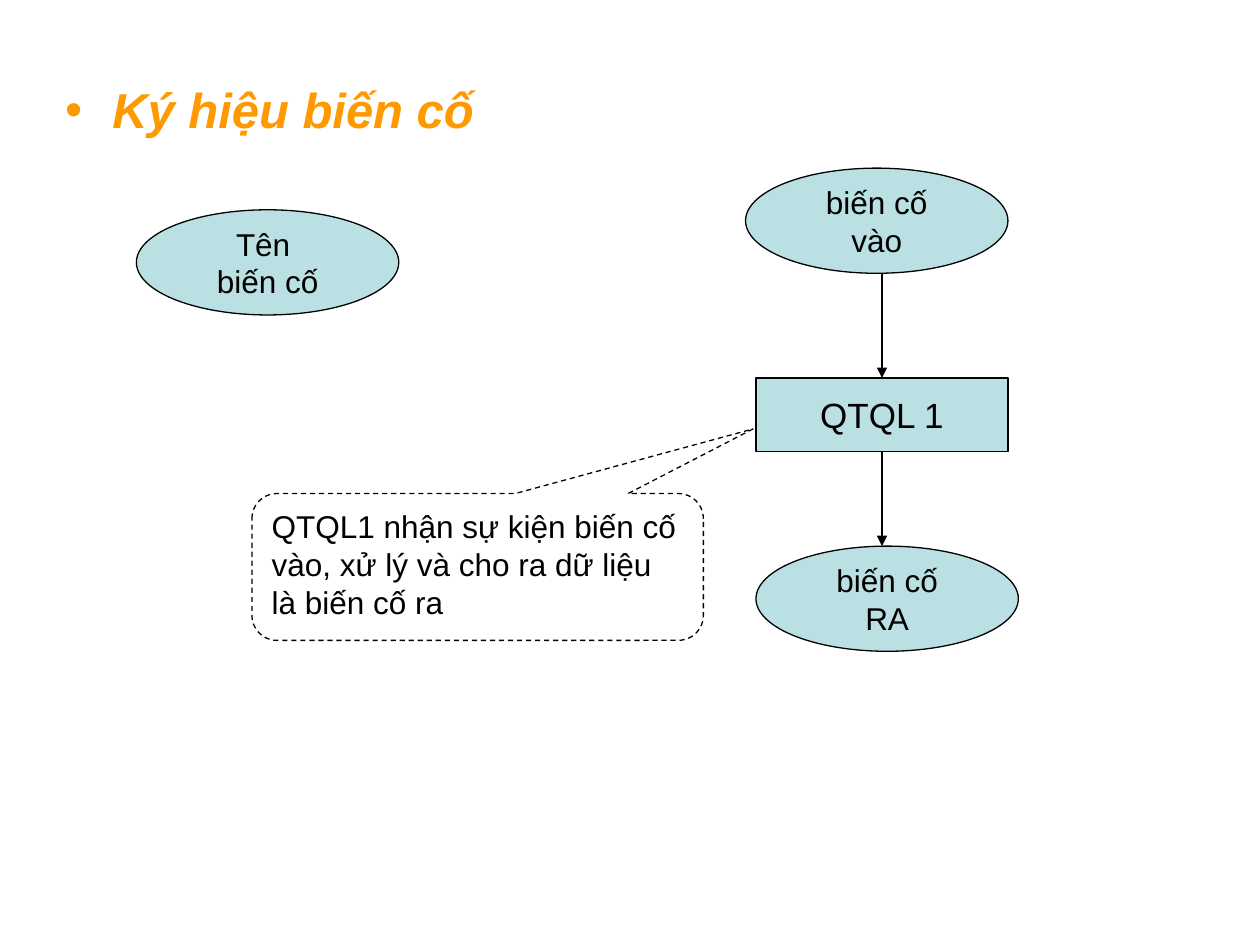
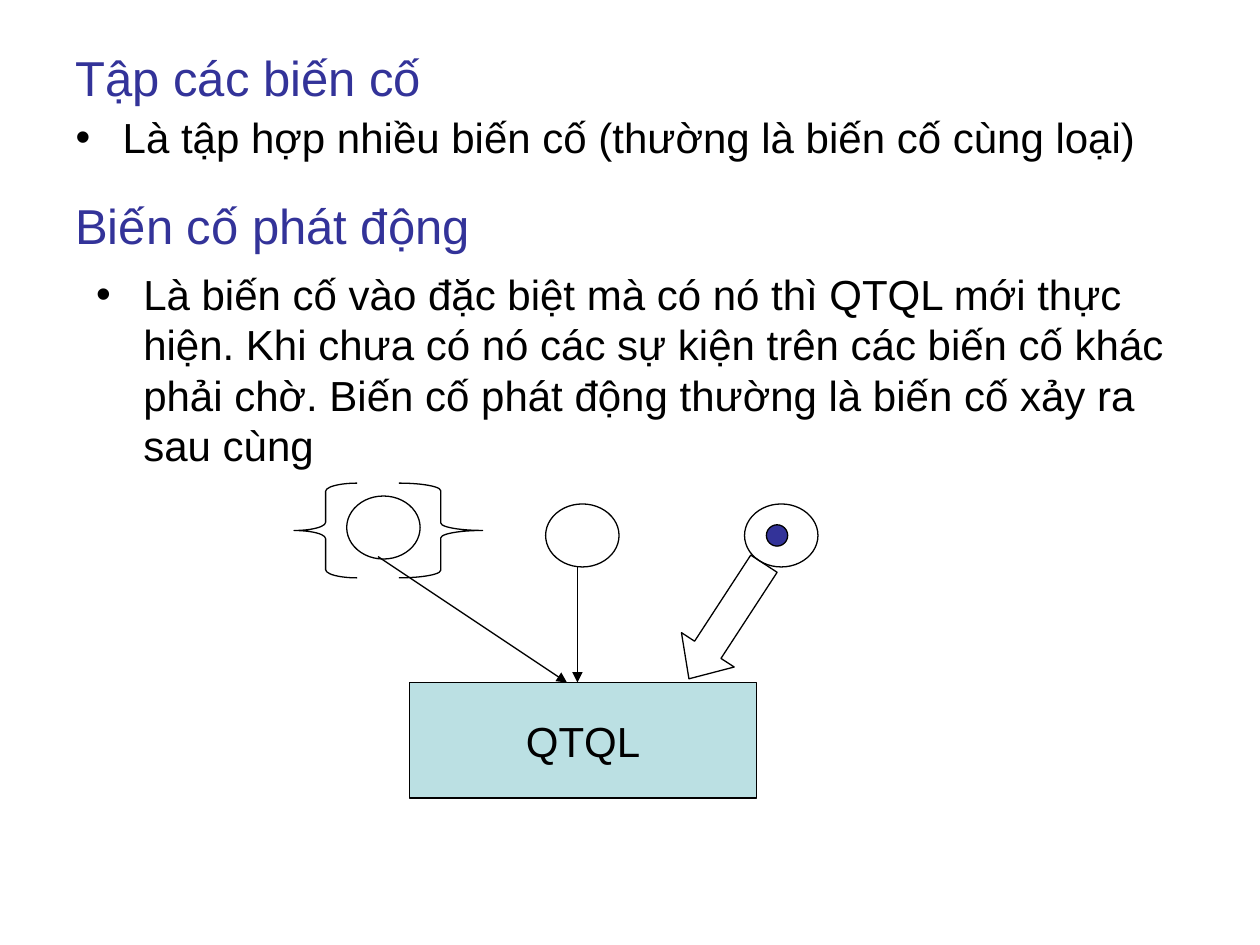
from lxml import etree
from pptx import Presentation
from pptx import util as u
from pptx.dml.color import RGBColor
from pptx.enum import dml, shapes, text
from pptx.oxml import ns

COLOURS = {"ink": "000000", "event": "BBE0E3", "heading": "333399", "accent": "FF9900"}
FONT = "Arial"
HANG = u.Cm(0.95)
EVENT_SIZE = (5.29, 2.12)
MARK_SIZE = (1.48, 1.27)
BLOCK_WIDTH = 22.86
SHAPE = shapes.MSO_SHAPE
HEADING = {"size": u.Pt(28)}
BULLET = {"size": u.Pt(24)}


def rgb(colour):
    return RGBColor.from_string(COLOURS[colour])


def cm(*lengths):
    return [u.Cm(length) for length in lengths]


def apply(target, values):
    for name, value in values.items():
        setattr(target, name, value)


def place(placeholder, box):
    apply(placeholder, dict(zip(("left", "top", "width", "height"), cm(*box))))
    return placeholder


def write(holder, lines, font, colour="ink", paragraph=None, frame=None):
    text_frame = holder.text_frame
    apply(text_frame, {"word_wrap": True, "auto_size": text.MSO_AUTO_SIZE.NONE, **(frame or {})})
    text_frame.text = "\n".join(lines)
    for line in text_frame.paragraphs:
        apply(line, {"alignment": text.PP_ALIGN.LEFT, **(paragraph or {})})
        for run in line.runs:
            apply(run.font, {"name": FONT, **font})
            run.font.color.rgb = rgb(colour)


def write_bullet(holder, line, font, colour="ink", before=6):
    write(holder, [line], font, colour, {"space_before": u.Pt(before)})
    properties = holder.text_frame.paragraphs[0]._p.get_or_add_pPr()
    properties.set("marL", str(HANG))
    properties.set("indent", str(-HANG))
    etree.SubElement(properties, ns.qn("a:buFont"), typeface=FONT)
    etree.SubElement(properties, ns.qn("a:buChar"), char="•")


def add_figure(slide, kind, box, fill=None, adjustments=()):
    figure = slide.shapes.add_shape(kind, *cm(*box))
    figure.shadow.inherit = False
    if fill:
        figure.fill.solid()
        figure.fill.fore_color.rgb = rgb(fill)
    else:
        figure.fill.background()
    figure.line.color.rgb = rgb("ink")
    figure.line.width = u.Pt(0.75)
    for index, value in enumerate(adjustments):
        figure.adjustments[index] = value
    return figure


def add_label(slide, kind, box, lines, size):
    figure = add_figure(slide, kind, box, "event")
    write(figure, lines, {"size": u.Pt(size)},
          paragraph={"alignment": text.PP_ALIGN.CENTER},
          frame={"word_wrap": False, "vertical_anchor": text.MSO_ANCHOR.MIDDLE})


def add_event(slide, left, top, lines):
    add_label(slide, SHAPE.OVAL, (left, top, *EVENT_SIZE), lines, 18)


def add_arrow(slide, start, end):
    arrow = slide.shapes.add_connector(shapes.MSO_CONNECTOR.STRAIGHT, *cm(*start, *end))
    arrow.line.color.rgb = rgb("ink")
    arrow.line.width = u.Pt(0.75)
    etree.SubElement(arrow.line._get_or_add_ln(), ns.qn("a:tailEnd"), type="triangle")
    etree.SubElement(arrow._element.spPr, ns.qn("a:effectLst"))


def add_text_block(slide, box):
    return slide.shapes.add_textbox(*cm(*box))


def build_event_symbols(slide):
    title = slide.shapes.title
    title._element.getparent().remove(title._element)
    heading = place(slide.placeholders[1], (1.06, 1.48, BLOCK_WIDTH, 1.48))
    write_bullet(heading, "Ký hiệu biến cố", {**HEADING, "bold": True, "italic": True},
                 "accent", 7)

    add_event(slide, 2.75, 4.23, ["Tên ", "biến cố"])
    add_event(slide, 15.03, 3.39, ["biến cố", "vào"])
    add_event(slide, 15.24, 11.01, ["biến cố", "RA"])
    add_label(slide, SHAPE.RECTANGLE, (15.24, 7.62, 5.08, 1.48), ["QTQL 1"], 20)
    for top, bottom in ((5.5, 7.62), (9.1, 11.01)):
        add_arrow(slide, (17.78, top), (17.78, bottom))

    explanation = add_figure(slide, SHAPE.ROUNDED_RECTANGULAR_CALLOUT,
                             (5.08, 9.95, 9.1, 2.96), adjustments=(0.61, -0.94, 0.17))
    explanation.line.dash_style = dml.MSO_LINE.DASH
    write(explanation,
          ["QTQL1 nhận sự kiện biến cố vào, xử lý và cho ra dữ liệu là biến cố ra"],
          {"size": u.Pt(18)}, frame={"vertical_anchor": text.MSO_ANCHOR.TOP})


def build_trigger_events(slide):
    event_set = place(slide.shapes.title, (1.27, 0.76, BLOCK_WIDTH, 1.57))
    write(event_set, ["Tập các biến cố"], HEADING, "heading",
          frame={"vertical_anchor": text.MSO_ANCHOR.MIDDLE})
    set_meaning = place(slide.placeholders[1], (1.27, 2.12, BLOCK_WIDTH, 1.27))
    write_bullet(set_meaning, "Là tập hợp nhiều biến cố (thường là biến cố cùng loại)", BULLET)

    trigger = add_text_block(slide, (1.27, 3.81, BLOCK_WIDTH, 1.27))
    write(trigger, ["Biến cố phát động"], HEADING, "heading", {"space_before": u.Pt(7)})
    trigger_meaning = add_text_block(slide, (1.69, 5.29, BLOCK_WIDTH, 4.45))
    write_bullet(trigger_meaning,
                 "Là biến cố vào đặc biệt mà có nó thì QTQL mới thực hiện. "
                 "Khi chưa có nó các sự kiện trên các biến cố khác phải chờ. "
                 "Biến cố phát động thường là biến cố xảy ra sau cùng", BULLET)

    for column, top in enumerate((10, 10.16, 10.16)):
        add_figure(slide, SHAPE.OVAL, (6.99 + 4.01 * column, top, *MARK_SIZE))
    add_label(slide, SHAPE.RECTANGLE, (8.26, 13.76, 6.99, 2.33), ["QTQL"], 24)
    add_figure(slide, SHAPE.LEFT_BRACE, (5.93, 9.74, 1.27, 1.91), adjustments=(0.13, 0.5))
    add_figure(slide, SHAPE.RIGHT_BRACE, (8.04, 9.74, 1.69, 1.91), adjustments=(0.09, 0.5))
    add_figure(slide, SHAPE.OVAL, (15.45, 10.58, 0.43, 0.43), "heading")
    add_arrow(slide, (7.62, 11.22), (11.43, 13.76))
    add_arrow(slide, (11.64, 11.43), (11.64, 13.76))
    trigger_arrow = add_figure(slide, SHAPE.LEFT_ARROW, (13.26, 11.89, 2.77, 1.27),
                               adjustments=(0.5, 0.55))
    trigger_arrow.rotation = 303.1


def main():
    deck = Presentation()
    apply(deck, {"slide_width": u.Cm(25.4), "slide_height": u.Cm(19.05)})
    for build in (build_event_symbols, build_trigger_events):
        build(deck.slides.add_slide(deck.slide_layouts[1]))
    deck.save("out.pptx")


if __name__ == "__main__":
    main()
